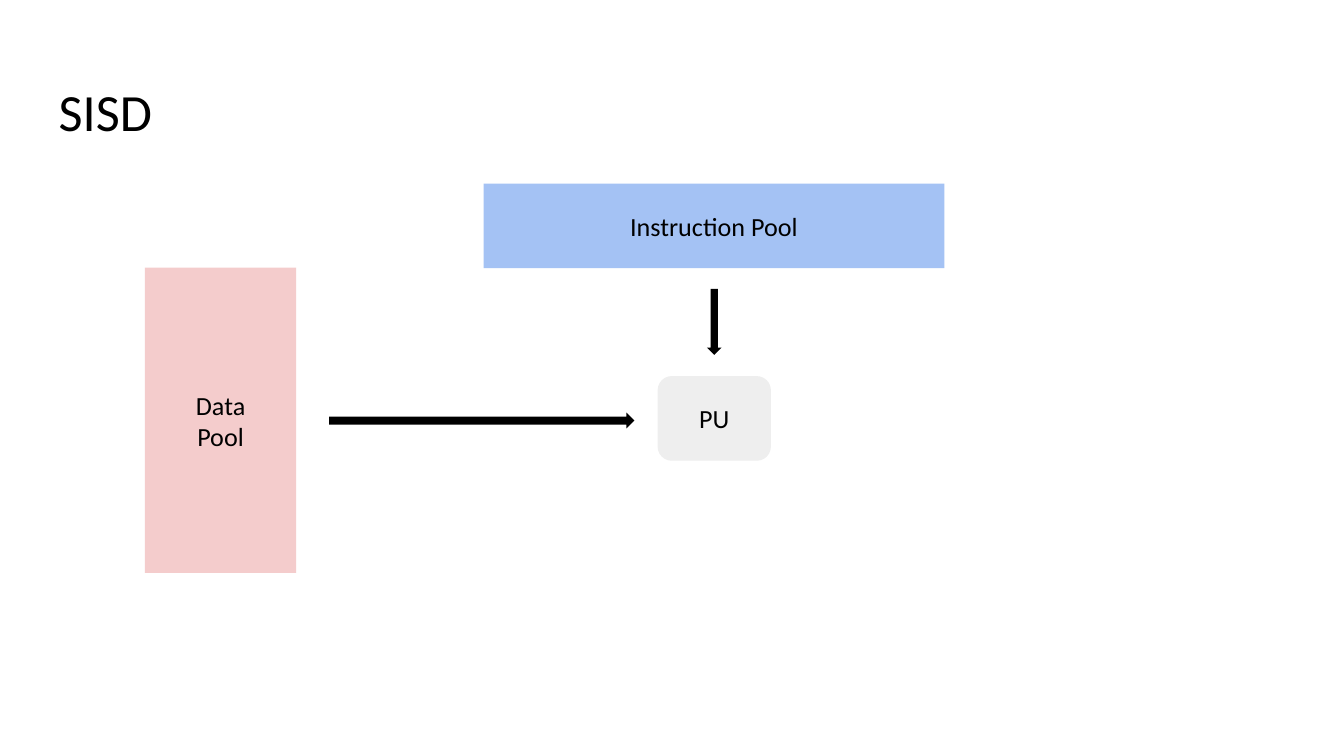
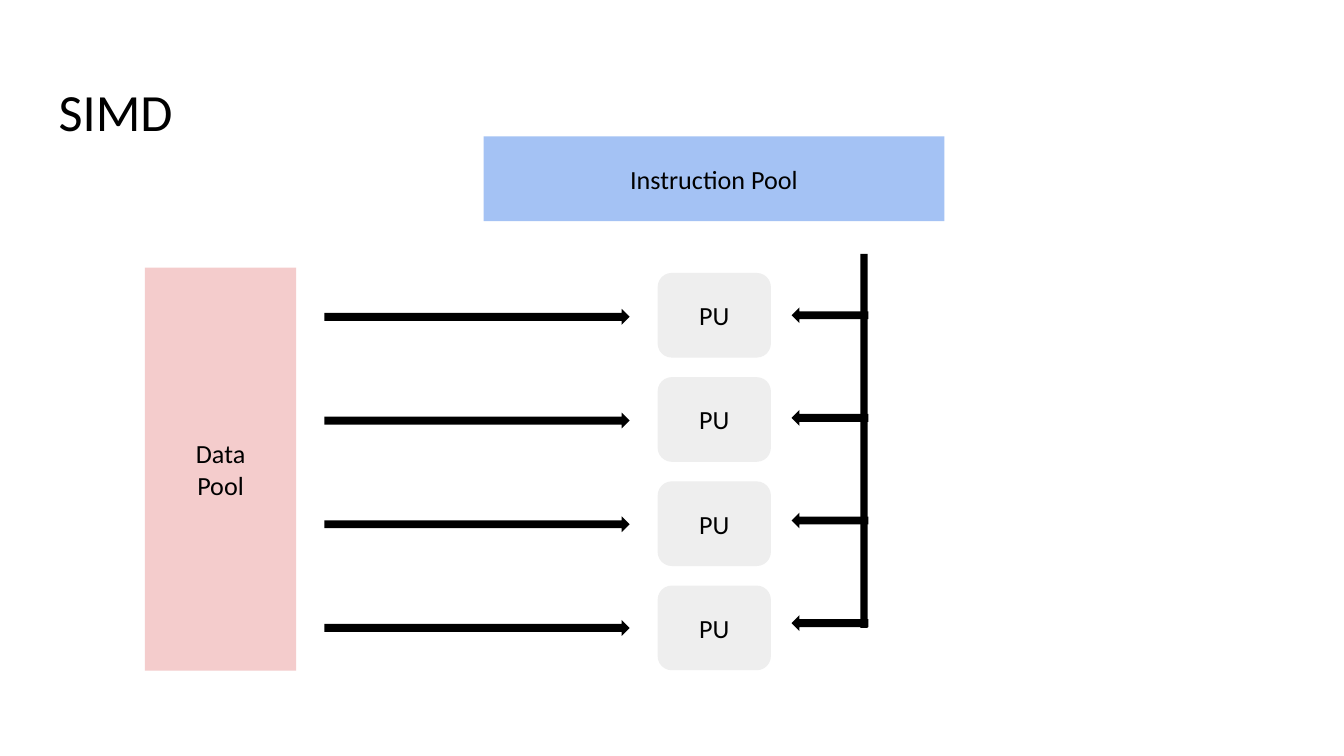
from typing import NamedTuple

from pptx import Presentation
from pptx.dml.color import RGBColor
from pptx.enum.shapes import MSO_SHAPE
from pptx.enum.text import MSO_ANCHOR, PP_ALIGN
from pptx.util import Cm, Pt

FONT = "Calibri"
BLACK, PINK, BLUE, GREY = "000000", "F4CCCC", "A4C2F4", "EEEEEE"
INSET = Cm(0.25)
THICK = 0.3  # height of a horizontal arrow


class Box(NamedTuple):
    """A filled shape; lengths in centimetres, one paragraph per line."""
    kind: MSO_SHAPE
    left: float
    top: float
    width: float
    height: float
    fill: str = BLACK
    lines: tuple[str, ...] = ()


def color(code: str) -> RGBColor:
    return RGBColor.from_string(code)


def write(frame, lines: tuple[str, ...], size: int, align: PP_ALIGN, anchor: MSO_ANCHOR) -> None:
    frame.word_wrap = True
    frame.vertical_anchor = anchor
    frame.margin_left = frame.margin_right = INSET
    frame.margin_top = frame.margin_bottom = INSET
    for i, line in enumerate(lines):
        para = frame.paragraphs[0] if i == 0 else frame.add_paragraph()
        para.alignment = align
        run = para.add_run()
        run.text = line
        run.font.name = FONT
        run.font.size = Pt(size)
        run.font.color.rgb = color(BLACK)


def draw(slide, box: Box) -> None:
    shape = slide.shapes.add_shape(
        box.kind, Cm(box.left), Cm(box.top), Cm(box.width), Cm(box.height))
    shape.shadow.inherit = False
    shape.fill.solid()
    shape.fill.fore_color.rgb = color(box.fill)
    shape.line.fill.background()
    if box.lines:
        write(shape.text_frame, box.lines, 14, PP_ALIGN.CENTER, MSO_ANCHOR.MIDDLE)


def data(height: float) -> Box:
    return Box(MSO_SHAPE.RECTANGLE, 2.74, 5.06, 2.86, height, PINK, ("Data", "Pool"))


def orders(top: float) -> Box:
    """The instruction pool."""
    return Box(MSO_SHAPE.RECTANGLE, 9.14, top, 8.71, 1.6, BLUE, ("Instruction Pool",))


def unit(top: float) -> Box:
    return Box(MSO_SHAPE.ROUNDED_RECTANGLE, 12.43, top, 2.14, 1.6, GREY, ("PU",))


def feed(left: float, top: float) -> Box:
    """An arrow from the data pool to a unit."""
    return Box(MSO_SHAPE.RIGHT_ARROW, left, top, 5.77, THICK)


def branch(top: float) -> Box:
    """An arrow from the instruction bus to a unit."""
    return Box(MSO_SHAPE.LEFT_ARROW, 14.96, top, 1.45, THICK)


def sisd() -> list[Box]:
    down = Box(MSO_SHAPE.DOWN_ARROW, 13.36, 5.46, 0.28, 1.25)
    return [data(5.77), feed(6.22, 7.8), unit(7.11), orders(3.47), down]


def simd() -> list[Box]:
    bus = Box(MSO_SHAPE.RECTANGLE, 16.26, 4.8, 0.14, 7.07)
    boxes = [data(7.62), orders(2.58), bus]
    for row in range(4):
        boxes += [
            feed(6.13, 5.84 + 1.96 * row),
            unit(5.16 + 1.97 * row),
            branch(5.81 + 1.94 * row),
        ]
    return boxes


def build(deck, title: str, boxes: list[Box]) -> None:
    slide = deck.slides.add_slide(deck.slide_layouts[6])
    head = slide.shapes.add_textbox(Cm(0.86), Cm(1.24), Cm(23.67), Cm(1.6))
    write(head.text_frame, (title,), 28, PP_ALIGN.LEFT, MSO_ANCHOR.TOP)
    for box in boxes:
        draw(slide, box)


def main() -> None:
    deck = Presentation()
    deck.slide_width, deck.slide_height = Cm(25.4), Cm(14.29)
    build(deck, "SISD", sisd())
    build(deck, "SIMD", simd())
    deck.save("out.pptx")


if __name__ == "__main__":
    main()
